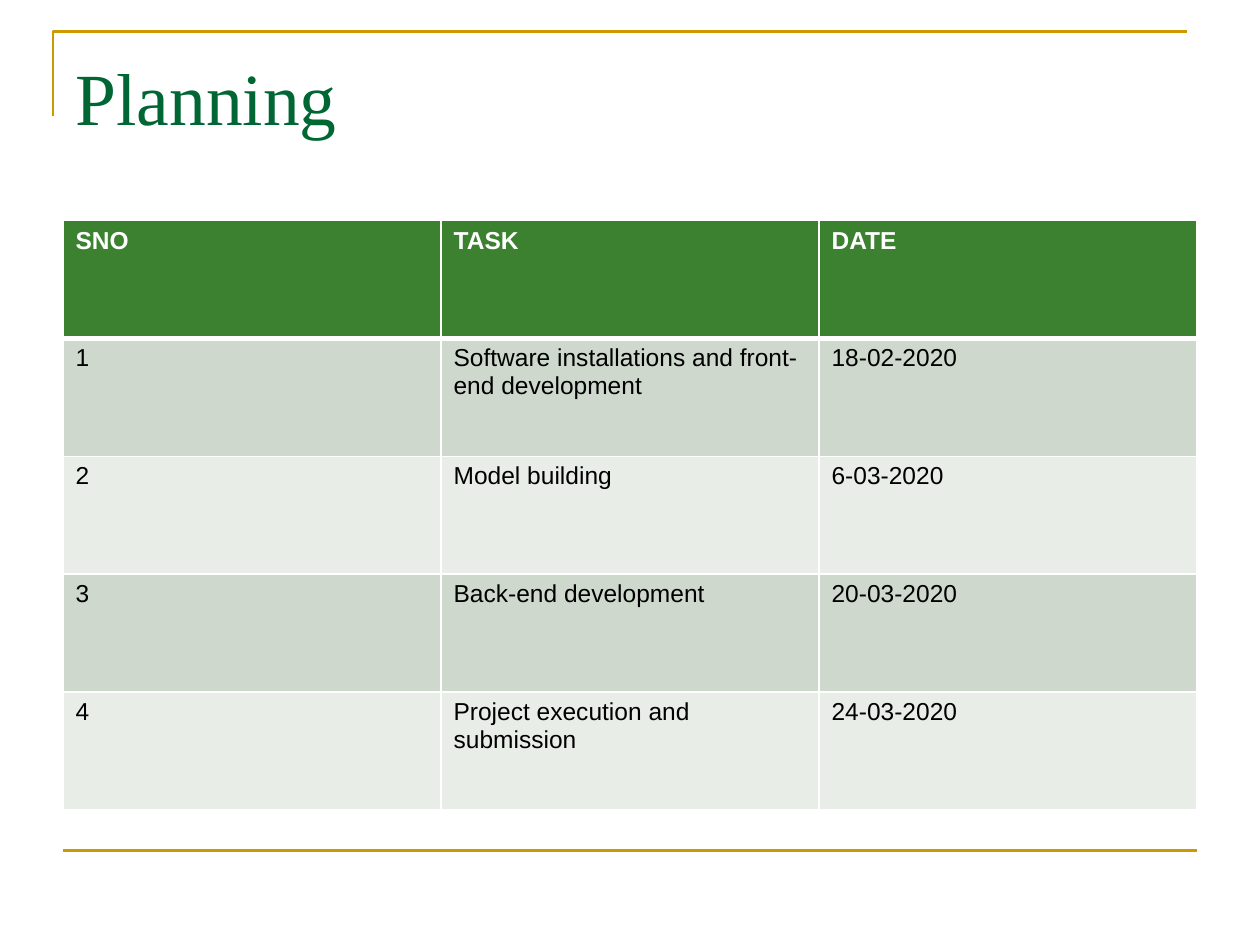
import pptx
import pptx.util
import pptx.dml.color
import pptx.enum.shapes
import pptx.enum.text
import pptx.oxml
import pptx.oxml.ns

Inches = pptx.util.Inches
Pt = pptx.util.Pt
RGBColor = pptx.dml.color.RGBColor

GOLD = RGBColor(0xCC, 0x99, 0x00)
TITLE_GREEN = RGBColor(0x00, 0x66, 0x33)
HEADER_GREEN = RGBColor(0x3B, 0x81, 0x2F)
DARK_BAND = RGBColor(0xCE, 0xD8, 0xCD)
LIGHT_BAND = RGBColor(0xE8, 0xED, 0xE8)
WHITE = RGBColor(0xFF, 0xFF, 0xFF)
BLACK = RGBColor(0x00, 0x00, 0x00)

TASKS = [
    ("SNO", "TASK", "DATE"),
    ("1", "Software installations and front-end development", "18-02-2020"),
    ("2", "Model building", "6-03-2020"),
    ("3", "Back-end development", "20-03-2020"),
    ("4", "Project execution and submission", "24-03-2020"),
]


def format_text(frame, font_name, size, color, bold=False):
    font = frame.paragraphs[0].runs[0].font
    font.name = font_name
    font.size = Pt(size)
    font.color.rgb = color
    font.bold = bold


def set_border(cell, side, width):
    border = pptx.oxml.parse_xml(
        f'<a:{side} {pptx.oxml.ns.nsdecls("a")} w="{Pt(width)}">'
        f'<a:solidFill><a:srgbClr val="{WHITE}"/></a:solidFill></a:{side}>'
    )
    cell._tc.get_or_add_tcPr().append(border)


deck = pptx.Presentation()
deck.slide_width = Inches(10)
deck.slide_height = Inches(7.5)
page = deck.slides.add_slide(deck.slide_layouts[5])

outline = page.shapes.build_freeform(Inches(0.42), Inches(0.92))
outline.add_line_segments(
    [(Inches(0.42), Inches(0.25)), (Inches(9.42), Inches(0.25))], close=False
)
corner = outline.convert_to_shape()
corner.fill.background()
corner.shadow.inherit = False

footer_rule = page.shapes.add_connector(
    pptx.enum.shapes.MSO_CONNECTOR.STRAIGHT,
    Inches(0.5), Inches(6.75), Inches(9.5), Inches(6.75),
)
footer_rule._element.spPr.append(
    pptx.oxml.parse_xml(f'<a:effectLst {pptx.oxml.ns.nsdecls("a")}/>')
)
for rule in (corner, footer_rule):
    rule.line.color.rgb = GOLD
    rule.line.width = Pt(1.5)

title = page.shapes.title
title.left, title.top = Inches(0.5), Inches(0.3)
title.width, title.height = Inches(9), Inches(1.25)
title_frame = title.text_frame
title_frame.text = "Planning"
title_frame.auto_size = pptx.enum.text.MSO_AUTO_SIZE.NONE
title_frame.vertical_anchor = pptx.enum.text.MSO_ANCHOR.TOP
title_frame.margin_top = Inches(0.11)
title_frame.paragraphs[0].alignment = pptx.enum.text.PP_ALIGN.LEFT
format_text(title_frame, "Times New Roman", 42, TITLE_GREEN)

schedule = page.shapes.add_table(
    len(TASKS), 3, Inches(0.5), Inches(1.75), Inches(9), Inches(4.68)
).table
for row_index, values in enumerate(TASKS):
    header = row_index == 0
    band = HEADER_GREEN if header else (LIGHT_BAND, DARK_BAND)[row_index % 2]
    for column_index, value in enumerate(values):
        cell = schedule.cell(row_index, column_index)
        cell.text_frame.text = value
        format_text(cell.text_frame, "Arial", 14, WHITE if header else BLACK, header)
        for side in ("lnL", "lnR", "lnT", "lnB"):
            thick = (header and side == "lnB") or (row_index == 1 and side == "lnT")
            set_border(cell, side, 3 if thick else 1)
        cell.fill.solid()
        cell.fill.fore_color.rgb = band

deck.save("out.pptx")
